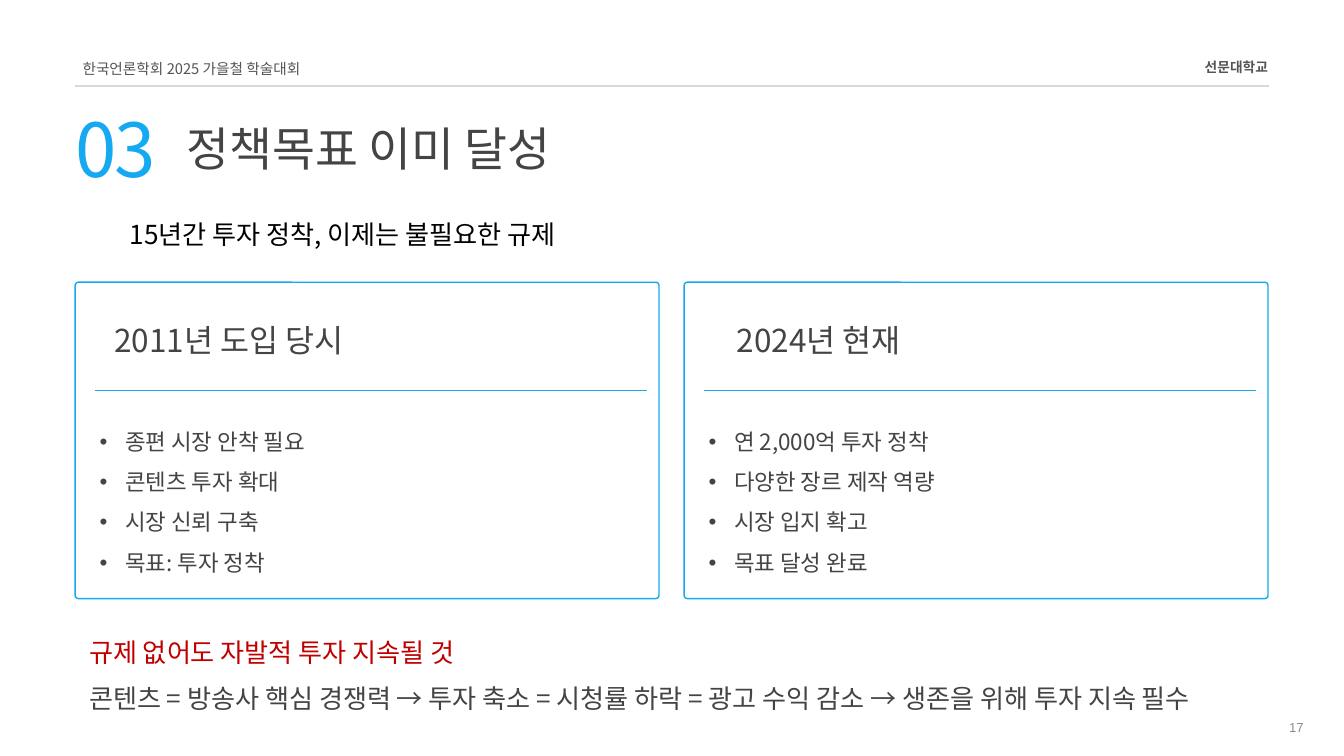
"""Build the slide comparing the 2011 policy goal with the situation in 2024."""
from lxml.etree import SubElement
from pptx import Presentation
from pptx.dml.color import RGBColor
from pptx.enum.shapes import MSO_CONNECTOR as Link, MSO_SHAPE as Shape
from pptx.enum.text import MSO_ANCHOR as Anchor, MSO_AUTO_SIZE as Fit, PP_ALIGN as Align
from pptx.oxml.ns import qn
from pptx.util import Cm, Pt

COLORS = {
    "accent": "15A9F1",
    "ink": "454444",
    "header": "545454",
    "black": "000000",
    "alert": "C00000",
    "rule": "D9D9D9",
    "number": "8C8C8C",
}
KOREAN = "Noto Sans CJK KR"

deck = Presentation()
deck.slide_width, deck.slide_height = Cm(50.8), Cm(28.58)
page = deck.slides.add_slide(deck.slide_layouts[6])


def add_text(place, lines, size, color, name=KOREAN, align=Align.LEFT, bold=False,
             leading=None, after=None, inset=False, bullet=False, tracking=None):
    box = page.shapes.add_textbox(*map(Cm, place))
    frame = box.text_frame
    frame.word_wrap = True
    frame.auto_size = Fit.SHAPE_TO_FIT_TEXT
    if not inset:
        frame.margin_left = frame.margin_top = frame.margin_right = frame.margin_bottom = 0
    frame.text = "\n".join(lines)
    for para in frame.paragraphs:
        para.alignment = align
        para.line_spacing = leading
        para.space_after = after
        props = para._p.get_or_add_pPr()
        if bullet:
            props.set("marL", str(Cm(0.96)))
            props.set("indent", str(-Cm(0.96)))
            SubElement(props, qn("a:buFont")).set("typeface", "Arial")
            SubElement(props, qn("a:buChar")).set("char", "•")
        font = para.font
        font.size = Pt(size)
        font.bold = bold
        font.name = name
        font.color.rgb = RGBColor.from_string(COLORS[color])
        defaults = props.find(qn("a:defRPr"))
        SubElement(defaults, qn("a:ea")).set("typeface", name)
        if tracking:
            defaults.set("spc", str(tracking))
    return frame


def add_rule(left, right, top, color, width):
    rule = page.shapes.add_connector(Link.STRAIGHT, Cm(left), Cm(top), Cm(right), Cm(top))
    rule.line.color.rgb = RGBColor.from_string(COLORS[color])
    rule.line.width = Pt(width)
    SubElement(rule._element.spPr, qn("a:effectLst"))


add_rule(2.84, 47.96, 3.25, "rule", 1.5)
add_text((3.12, 2.26, 9.14, 0.61), ["한국언론학회 2025 가을철 학술대회"], 15.7, "header",
         leading=Pt(18.9))
add_text((42.04, 2.21, 5.89, 0.58), ["선문대학교"], 14.7, "header",
         align=Align.RIGHT, bold=True, leading=Pt(17.7))
add_text((2.84, 3.89, 4.17, 3.15), ["03"], 79.8, "accent", leading=Pt(95.8), tracking=-240)
add_text((7.04, 4.52, 39.52, 2.13), ["정책목표 이미 달성"], 50, "ink", leading=Pt(60))
add_text((4.65, 8.13, 37.41, 1.45), ["15년간 투자 정착, 이제는 불필요한 규제"], 28, "black",
         after=Pt(15), inset=True)

cards = [
    (2.84, 1.48, "2011년 도입 당시",
     ["종편 시장 안착 필요", "콘텐츠 투자 확대", "시장 신뢰 구축", "목표: 투자 정착"]),
    (25.86, 1.98, "2024년 현재",
     ["연 2,000억 투자 정착", "다양한 장르 제작 역량", "시장 입지 확고", "목표 달성 완료"]),
]
for left, heading_indent, heading, points in cards:
    card = page.shapes.add_shape(Shape.ROUNDED_RECTANGLE, Cm(left), Cm(10.67), Cm(22.07), Cm(11.96))
    card.adjustments[0] = 0.01
    card.shadow.inherit = False
    card.fill.background()
    card.line.color.rgb = RGBColor.from_string(COLORS["accent"])
    card.line.width = Pt(1.5)
    add_rule(left + 0.76, left + 21.62, 14.76, "accent", 0.75)
    add_text((left + heading_indent, 12.12, 18.14, 1.35), [heading], 33.8, "ink", leading=Pt(40.5))
    add_text((left + 0.93, 15.67, 20.5, 6.02), points, 24, "ink", leading=1.5, bullet=True)

closing = add_text(
    (3.12, 23.95, 45.09, 3.18),
    ["규제 없어도 자발적 투자 지속될 것",
     "콘텐츠 = 방송사 핵심 경쟁력 → 투자 축소 = 시청률 하락 = 광고 수익 감소 → 생존을 위해 투자 지속 필수"],
    28, "ink", after=Pt(15), inset=True)
closing.paragraphs[0].font.color.rgb = RGBColor.from_string(COLORS["alert"])

number = add_text((43.61, 26.97, 5.92, 1.02), ["17"], 14, "number", name="Arial",
                  align=Align.RIGHT, inset=True)
number.auto_size = Fit.NONE
number.vertical_anchor = Anchor.MIDDLE

deck.save("out.pptx")
